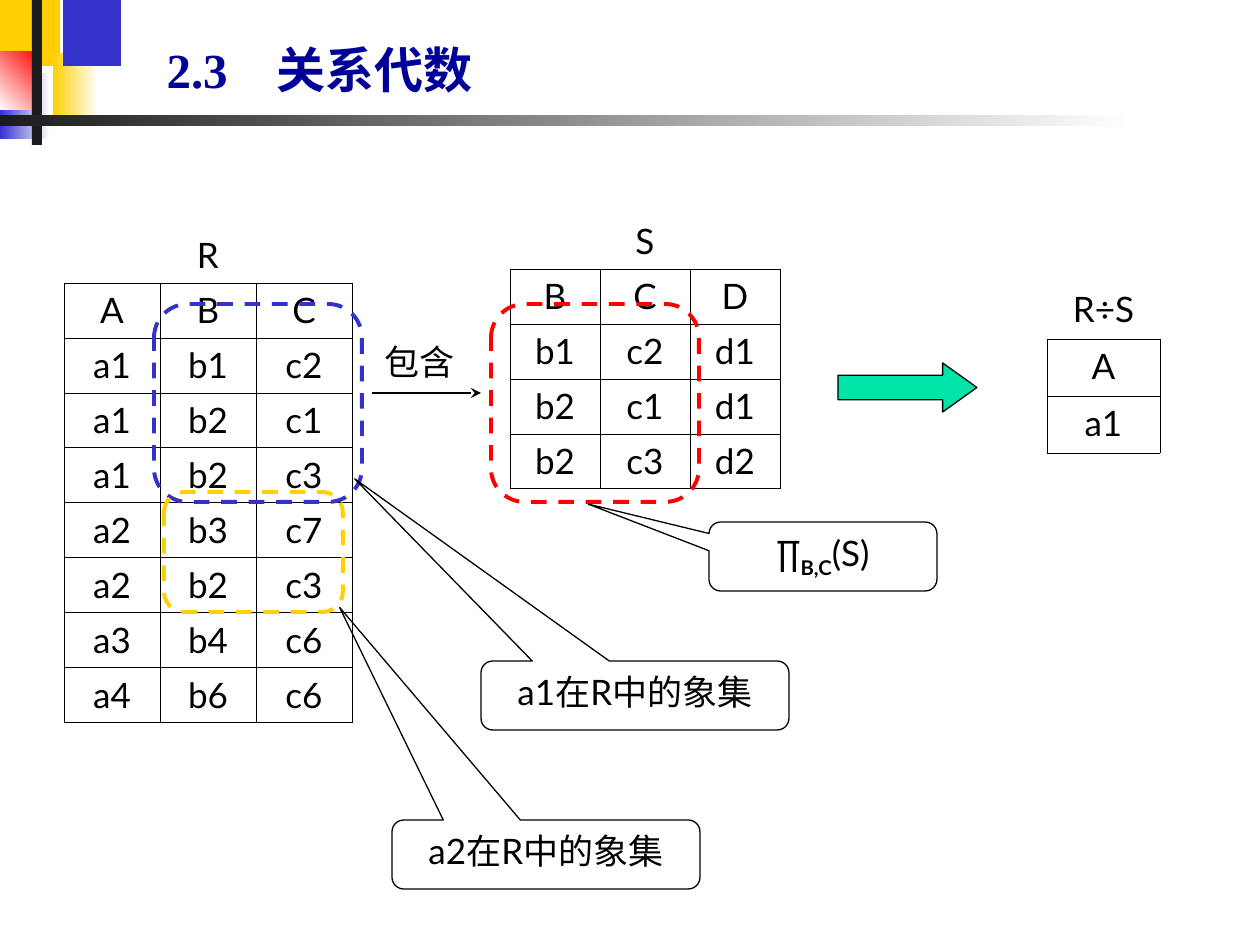
from lxml import etree
from pptx import Presentation
from pptx import util as u
from pptx.dml.color import RGBColor
from pptx.enum import dml, shapes, text
from pptx.oxml import ns

PX = 914400 / 126
look = dict(
    gold="FFCF01", blue="3333CC", red="FF0000", dark="1C1C1C", white="FFFFFF",
    navy="000099", black="000000", mint="00E4A8",
    head="Times New Roman", body="Lato", big=28, size=20)
kind = shapes.MSO_SHAPE


def style(para, font="body", size="size", color="black", bold=False):
    for run in para.runs:
        run.font.name = look[font]
        run.font.size = u.Pt(look[size])
        run.font.color.rgb = RGBColor.from_string(look[color])
        run.font.bold = bold


def draw(form, box, fill=None, line=None, width=0.75, adj=()):
    item = slide.shapes.add_shape(form, *[int(n * PX) for n in box])
    item.shadow.inherit = False
    for i, value in enumerate(adj):
        item.adjustments[i] = value
    if fill:
        item.fill.solid()
        item.fill.fore_color.rgb = RGBColor.from_string(look[fill])
    else:
        item.fill.background()
    if line:
        item.line.color.rgb = RGBColor.from_string(look[line])
        item.line.width = u.Pt(width)
    else:
        item.line.fill.background()
    return item


deck = Presentation()
deck.slide_width, deck.slide_height = u.Inches(10), u.Inches(7.5)
slide = deck.slides.add_slide(deck.slide_layouts[5])

for box, start, end, angle in [
    ((0, 0, 60, 66), "gold", None, 0),
    ((53, 53, 45, 65), "gold", "white", 0),
    ((63, 0, 58, 66), "blue", None, 0),
    ((0, 73, 50, 66), "blue", "white", 0),
    ((0, 52, 42, 58), "white", "red", 45),
    ((32, 0, 10, 145), "dark", None, 0),
    ((0, 115, 1134, 11), "dark", "white", 0),
]:
    block = draw(kind.RECTANGLE, box, start)
    if end:
        block.fill.gradient()
        block.fill.gradient_angle = angle
        for stop, name in zip(block.fill.gradient_stops, (start, end)):
            stop.color.rgb = RGBColor.from_string(look[name])

title = slide.shapes.title
title.left, title.top, title.width, title.height = [int(n * PX) for n in (154, 0, 598, 105)]
frame = title.text_frame
frame.text = "2.3\t关系代数"
frame.vertical_anchor = text.MSO_ANCHOR.BOTTOM
para = frame.paragraphs[0]
para.alignment = text.PP_ALIGN.LEFT
tabs = etree.SubElement(para._p.get_or_add_pPr(), ns.qn("a:tabLst"))
etree.SubElement(tabs, ns.qn("a:tab"), pos=str(int(110 * PX)), algn="l")
style(para, "head", "big", "navy", True)

for name, x, y, wide, high, rows in [
    ("R", 64, 228, 96, 55, ["A B C", "a1 b1 c2", "a1 b2 c1", "a1 b2 c3", "a2 b3 c7",
                            "a2 b2 c3", "a3 b4 c6", "a4 b6 c6"]),
    ("S", 510, 214, 90, 55, ["B C D", "b1 c2 d1", "b2 c1 d1", "b2 c3 d2"]),
    ("R÷S", 1047, 282, 113, 57, ["A", "a1"]),
]:
    data = [row.split() for row in rows]
    cols = len(data[0])
    data.insert(0, [name] + [""] * (cols - 1))
    size = (x, y, wide * cols, high * len(data))
    grid = slide.shapes.add_table(len(data), cols, *[int(n * PX) for n in size]).table
    grid.first_row = grid.horz_banding = False
    if cols > 1:
        grid.cell(0, 0).merge(grid.cell(0, cols - 1))
    for r, row in enumerate(data):
        for c, word in enumerate(row):
            cell = grid.cell(r, c)
            for side in "LRTB":
                edge = etree.SubElement(cell._tc.get_or_add_tcPr(), ns.qn("a:ln" + side), w="5715")
                if r == 0 and side != "B":
                    etree.SubElement(edge, ns.qn("a:noFill"))
                else:
                    ink = etree.SubElement(edge, ns.qn("a:solidFill"))
                    etree.SubElement(ink, ns.qn("a:srgbClr"), val=look["black"])
            cell.fill.background()
            if word:
                cell.text_frame.text = word
                para = cell.text_frame.paragraphs[0]
                para.alignment = text.PP_ALIGN.CENTER
                style(para)

for color, ring, box, tip, words in [
    ("red", (491, 304, 208, 198), (709, 522, 228, 69), (-1.03, -0.76), ["∏", "B,C", "(S)"]),
    ("blue", (154, 304, 208, 198), (481, 661, 308, 69), (-0.91, -3.14), ["a1在R中的象集"]),
    ("gold", (164, 492, 179, 120), (392, 820, 308, 69), (-0.67, -3.58), ["a2在R中的象集"]),
]:
    hoop = draw(kind.ROUNDED_RECTANGLE, ring, None, color, 2.25, (0.17,))
    hoop.line.dash_style = dml.MSO_LINE.DASH
    note = draw(kind.ROUNDED_RECTANGULAR_CALLOUT, box, None, "black", 0.75, tip + (0.17,))
    note.text_frame.vertical_anchor = text.MSO_ANCHOR.TOP
    para = note.text_frame.paragraphs[0]
    para.alignment = text.PP_ALIGN.CENTER
    for word in words:
        para.add_run().text = word
    style(para)
    if len(words) > 1:
        sub = para.runs[1]
        sub.font.bold = True
        sub.font._element.set("baseline", "-25000")

ends = [int(n * PX) for n in (372, 393, 481, 393)]
link = slide.shapes.add_connector(shapes.MSO_CONNECTOR.STRAIGHT, *ends)
link.line.color.rgb = RGBColor.from_string(look["black"])
link.line.width = u.Pt(1)
etree.SubElement(link.line._get_or_add_ln(), ns.qn("a:tailEnd"), type="stealth")
etree.SubElement(link._element.spPr, ns.qn("a:effectLst"))

label = slide.shapes.add_textbox(*[int(n * PX) for n in (372, 334, 95, 55)])
label.text_frame.text = "包含"
label.text_frame.word_wrap = False
style(label.text_frame.paragraphs[0])

draw(kind.RIGHT_ARROW, (838, 363, 139, 49), "mint", "black", 0.75, (0.5, 0.7))

deck.save("out.pptx")
